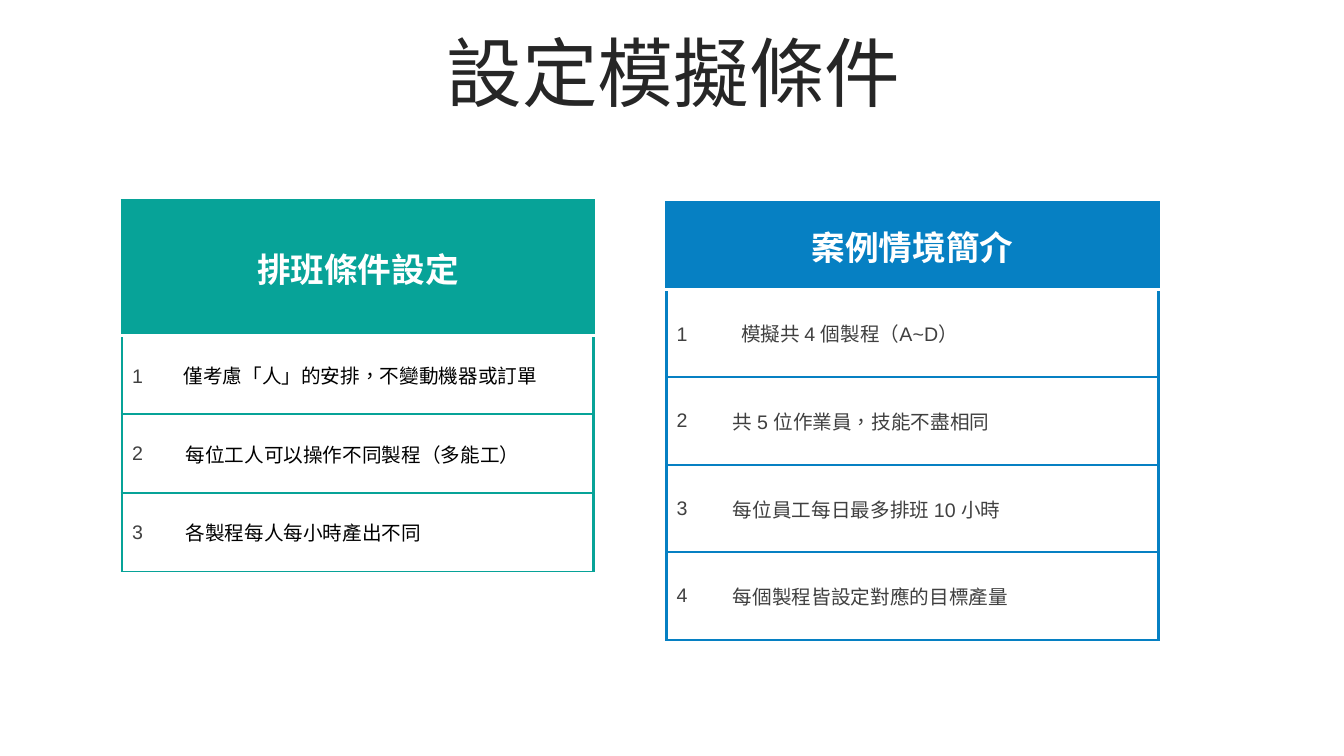
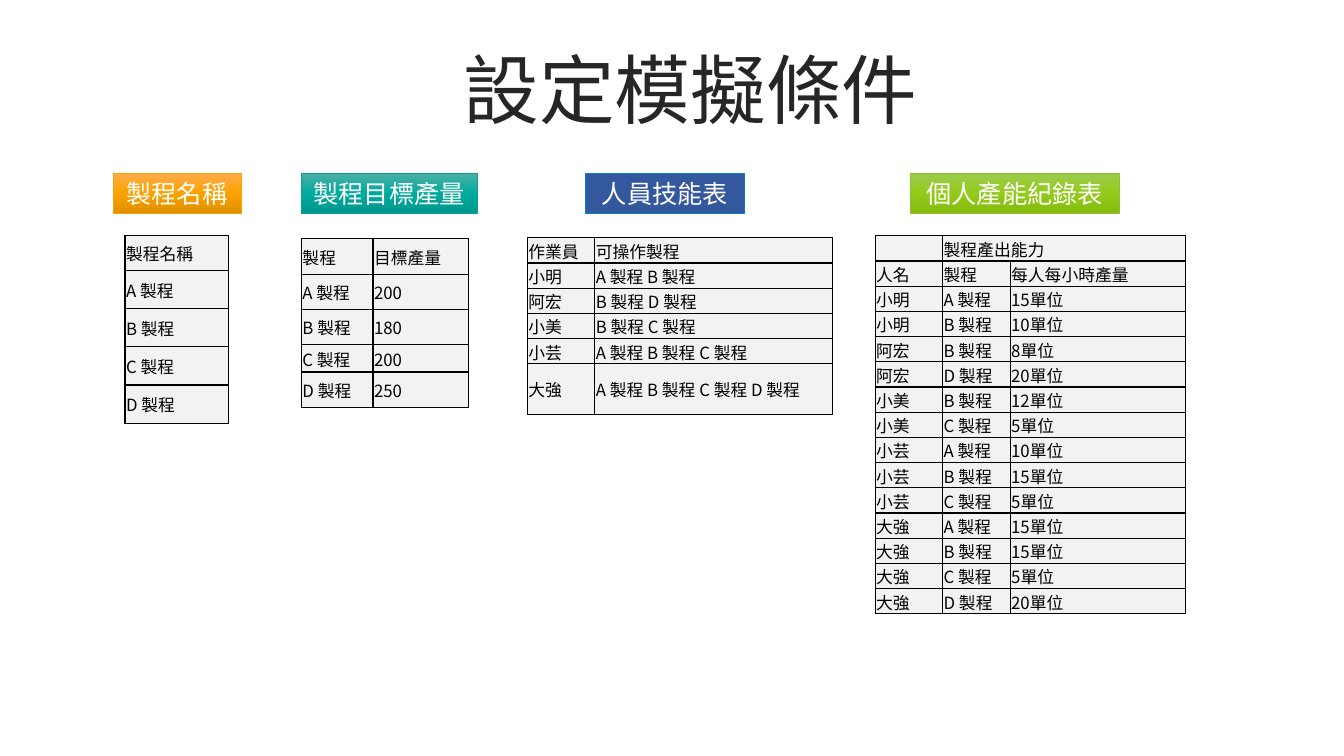
from lxml.etree import SubElement
from pptx import Presentation
from pptx.dml.color import RGBColor as RGB
from pptx.enum.shapes import MSO_SHAPE as SHAPE
from pptx.enum.text import MSO_ANCHOR as ANCHOR, PP_ALIGN as ALIGN
from pptx.oxml.ns import qn
from pptx.util import Inches, Pt

HEX = {
    "ink": "262626", "gray": "404040", "black": "000000", "white": "FFFFFF",
    "cell": "F2F2F2", "teal": "07A398", "blue": "0680C3", "navy": "34589D",
    "gold": "FBA200", "lime": "90C221",
}
FADE = {
    "gold": ("FFAC4B", "FBA200", "DF9000"),
    "teal": ("4BAFA5", "00AA9E", "00978C"),
    "lime": ("9DCC4F", "93CA19", "85BB0F"),
}
LATIN, HAN = "Arial", "Noto Sans CJK SC"
PLAIN = "{2D5ABB26-0587-4C30-8999-92F81FD0307C}"
TITLE = "設定模擬條件"


def tone(name):
    """Return a named colour."""
    return RGB.from_string(HEX[name])


def write(frame, text, size=14, font=LATIN, color="gray", bold=False, align=ALIGN.LEFT):
    """Add formatted text to the first paragraph and return it."""
    para = frame.paragraphs[0]
    para.alignment = align
    if not text:
        para._p.get_or_add_endParaRPr().set("sz", str(size * 100))
        return para
    run = para.add_run()
    run.text = text
    run.font.size, run.font.name, run.font.bold = Pt(size), font, bold
    run.font.color.rgb = tone(color)
    props = run._r.get_or_add_rPr()
    props.set("lang", "zh-TW")
    SubElement(props, qn("a:ea")).set("typeface", HAN)
    return para


def paint(cell, fill, **edges):
    """Fill a cell and draw its edges, each a (colour, points) pair."""
    props = cell._tc.get_or_add_tcPr()
    for side in "LRTB":
        if side in edges:
            color, width = edges[side]
            line = SubElement(props, qn("a:ln" + side), w=str(Pt(width)))
            solid = SubElement(line, qn("a:solidFill"))
            SubElement(solid, qn("a:srgbClr")).set("val", HEX[color])
    cell.fill.solid()
    cell.fill.fore_color.rgb = tone(fill)
    cell.vertical_anchor = ANCHOR.MIDDLE


def grid(slide, left, top, cols, rows):
    """Add a plain table with the given column widths and row heights."""
    box = map(Inches, (left, top, sum(cols), sum(rows)))
    table = slide.shapes.add_table(len(rows), len(cols), *box).table
    table.first_row = table.horz_banding = False
    table._tbl.tblPr.find(qn("a:tableStyleId")).text = PLAIN
    for col, width in zip(table.columns, cols):
        col.width = Inches(width)
    for row, height in zip(table.rows, rows):
        row.height = Inches(height)
    return table


def title(slide, left, top):
    """Place the large centred title."""
    box = slide.shapes.add_textbox(*map(Inches, (left, top, 12.66, 0.79)))
    frame = box.text_frame
    frame.word_wrap = True
    frame.vertical_anchor = ANCHOR.MIDDLE
    para = write(frame, TITLE, size=54, color="ink", align=ALIGN.CENTER)
    para.line_spacing, para.space_before = 0.9, Pt(10)


def panel(slide, left, top, cols, rows, hue, head, items, tab, **style):
    """Place a numbered list under a coloured heading."""
    table = grid(slide, left, top, cols, rows)
    last = len(cols) - 1
    thick, thin, pale = (hue, 2.25), (hue, 1.5), ("white", 2.25)
    for num in range(len(rows)):
        for col in range(len(cols)):
            edges = {"T": thin, "B": thin}
            if num == 0:
                edges = {"T": thick, "B": pale}
            elif num == 1:
                edges["T"] = pale
            if col == 0:
                edges["L"] = thick
            if col == last or (col == 0 and num < 2):
                edges["R"] = thick
            paint(table.cell(num, col), "white" if num else hue, **edges)
    for num in (0, 1):
        table.cell(num, 0).merge(table.cell(num, last))
    write(table.cell(0, 0).text_frame, head, size=24, color="white", bold=True,
          align=ALIGN.CENTER)
    for num, item in enumerate(items, 1):
        frame = table.cell(num, 0).text_frame
        para = write(frame, str(num) + ("\t" if num == 1 else ""))
        if num == 1:
            stops = SubElement(para._p.get_or_add_pPr(), qn("a:tabLst"))
            SubElement(stops, qn("a:tab"), pos=str(Inches(tab)), algn="l")
            write(frame, item, **style)
        else:
            write(table.cell(num, 1).text_frame, item, **style)


def sheet(slide, left, top, cols, rows, data, spans=()):
    """Place a small data table with black rules."""
    table = grid(slide, left, top, cols, rows)
    rule = ("black", 1)
    for num, line in enumerate(data):
        for col, text in enumerate(line):
            cell = table.cell(num, col)
            cell.margin_left = cell.margin_right = cell.margin_top = Inches(0.01)
            cell.margin_bottom = 0
            paint(cell, "cell", L=rule, R=rule, T=rule, B=rule)
            write(cell.text_frame, text, size=12, font=HAN, color="black")
    for start, end in spans:
        table.cell(*start).merge(table.cell(*end))


def label(slide, left, width, text, fill, edge):
    """Place a coloured label above a data table."""
    box = map(Inches, (left, 1.72, width, 0.4))
    shape = slide.shapes.add_shape(SHAPE.RECTANGLE, *box)
    shape.shadow.inherit = False
    shape.line.color.rgb, shape.line.width = tone(edge), Pt(0.5)
    if fill in FADE:
        shape.fill.gradient()
        shape.fill.gradient_angle = 270
        stops = shape._element.spPr.find(qn("a:gradFill")).find(qn("a:gsLst"))
        stops.clear()
        for num, code in enumerate(FADE[fill]):
            stop = SubElement(stops, qn("a:gs"), pos=str(num * 50000))
            SubElement(stop, qn("a:srgbClr")).set("val", code)
    else:
        shape.fill.solid()
        shape.fill.fore_color.rgb = tone(fill)
    frame = shape.text_frame
    frame.word_wrap = False
    frame.vertical_anchor = ANCHOR.MIDDLE
    write(frame, text, size=18, color="white", align=ALIGN.CENTER)


def rules(slide):
    """Build the slide of scheduling rules and case facts."""
    title(slide, 0.35, 0.37)
    panel(slide, 1.21, 1.99, (0.53, 3.62, 0.53), [1.34] + [0.78] * 3, "teal",
          "排班條件設定",
          ("僅考慮「人」的安排，不變動機器或訂單",
           "每位工人可以操作不同製程（多能工）",
           "各製程每人每小時產出不同"),
          0.51, font=HAN, color="black")
    panel(slide, 6.61, 2.01, (0.56, 3.77, 0.55), [0.86] + [0.87] * 4, "blue",
          "案例情境簡介",
          ("模擬共 4 個製程（A~D）",
           "共 5 位作業員，技能不盡相同",
           "每位員工每日最多排班 10 小時",
           "每個製程皆設定對應的目標產量"),
          0.64)


def tables(slide):
    """Build the slide of process and staff tables."""
    goals = {"A": 200, "B": 180, "C": 200, "D": 250}
    staff = {
        "小明": {"A": 15, "B": 10},
        "阿宏": {"B": 8, "D": 20},
        "小美": {"B": 12, "C": 5},
        "小芸": {"A": 10, "B": 15, "C": 5},
        "大強": {"A": 15, "B": 15, "C": 5, "D": 20},
    }
    steps = {key: f"{key} 製程" for key in goals}
    names = [["製程名稱"]] + [[step] for step in steps.values()]
    aims = [["製程", "目標產量"]]
    aims += [[steps[key], str(goal)] for key, goal in goals.items()]
    skills = [["作業員", "可操作製程"]]
    skills += [[who, " ".join(steps[key] for key in rates)]
               for who, rates in staff.items()]
    yields = [["", "製程產出能力", ""], ["人名", "製程", "每人每小時產量"]]
    yields += [[who, steps[key], f"{rate}單位"]
               for who, rates in staff.items() for key, rate in rates.items()]

    sheet(slide, 1.24, 2.34, [1.03], [0.34] + [0.38] * 4, names)
    sheet(slide, 5.23, 2.36, (0.67, 2.36), [0.25] * len(staff) + [0.5], skills)
    sheet(slide, 8.68, 2.34, (0.67, 0.67, 1.74), [0.25] * len(yields), yields,
          spans=[((0, 1), (0, 2))])
    sheet(slide, 2.99, 2.37, (0.71, 0.95), (0.35, 0.35, 0.35, 0.27, 0.35), aims)
    label(slide, 1.12, 1.27, "製程名稱", "gold", "gold")
    label(slide, 2.99, 1.74, "製程目標產量", "teal", "teal")
    label(slide, 9.03, 2.07, "個人產能紀錄表", "lime", "lime")
    label(slide, 5.81, 1.57, "人員技能表", "navy", "blue")
    title(slide, 0.52, 0.54)


def main():
    """Build and save the deck."""
    deck = Presentation()
    deck.slide_width, deck.slide_height = Inches(13.33), Inches(7.5)
    for build in (rules, tables):
        build(deck.slides.add_slide(deck.slide_layouts[6]))
    deck.save("out.pptx")


if __name__ == "__main__":
    main()
